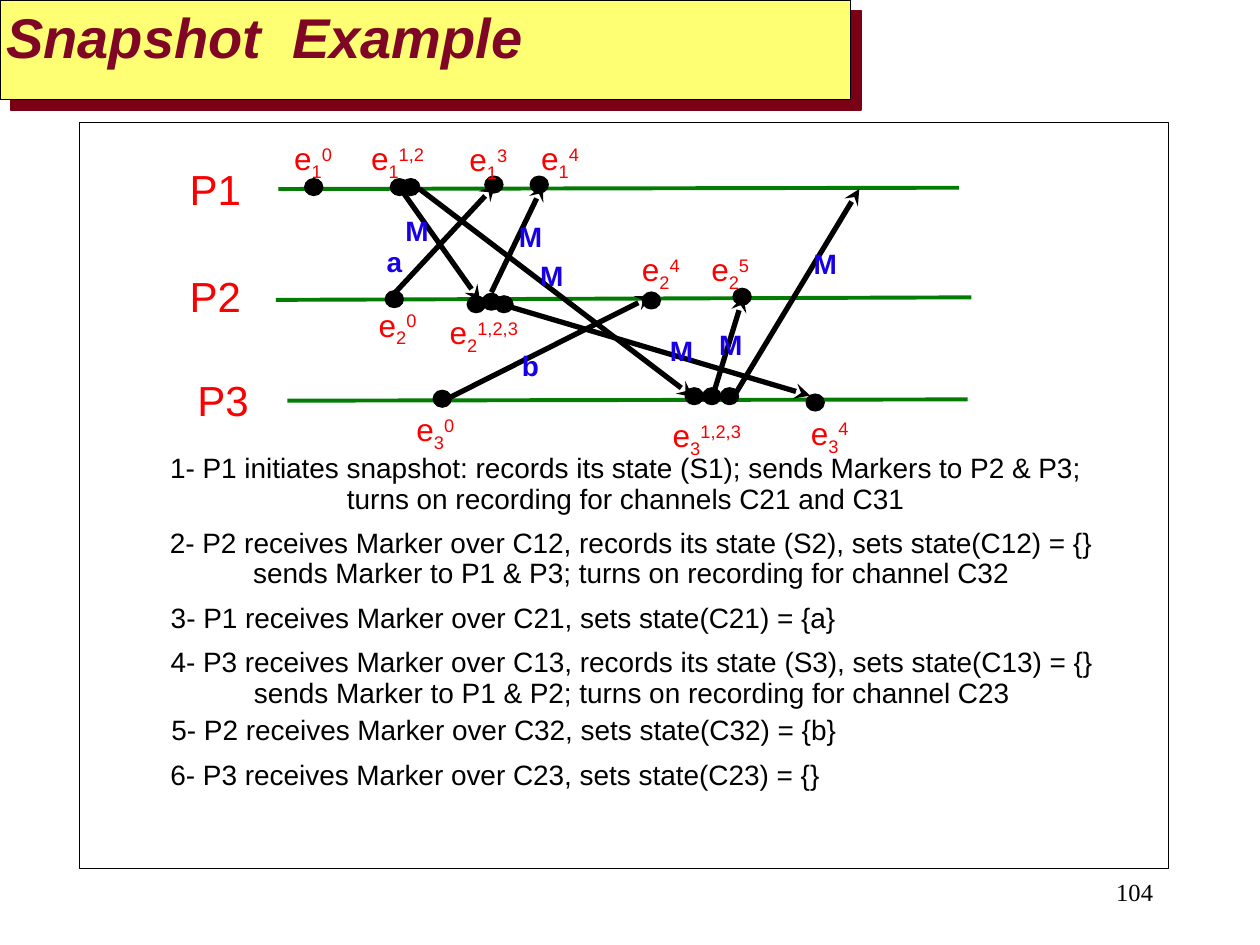
from lxml import etree
from pptx import Presentation
from pptx.dml.color import RGBColor
from pptx.enum.shapes import MSO_CONNECTOR as CONN, MSO_SHAPE as SHAPE
from pptx.enum.text import MSO_ANCHOR as ANCHOR, MSO_AUTO_SIZE as FIT, PP_ALIGN as ALIGN
from pptx.oxml import parse_xml
from pptx.oxml.ns import nsdecls, qn
from pptx.util import Inches, Pt

COLORS = {
    "black": "000000", "red": "FA0000", "blue": "1700E5", "green": "037C03",
    "yellow": "FEFF72", "maroon": "7F0624", "shadow": "790015",
}


def rgb(name):
    return RGBColor.from_string(COLORS[name])


def style(run, size, color, bold=False, font="Arial"):
    run.font.size, run.font.name, run.font.bold = Pt(size), font, bold
    run.font.color.rgb = rgb(color)


def add_text(slide, box, parts, size, color, bold=False):
    """Centred text; parts are (text, baseline in thousandths of a percent)."""
    frame = slide.shapes.add_textbox(*map(Inches, box)).text_frame
    frame.word_wrap = True
    frame.auto_size = FIT.SHAPE_TO_FIT_TEXT
    para = frame.paragraphs[0]
    para.alignment, para.line_spacing = ALIGN.CENTER, 0.9
    for text, base in parts:
        run = para.add_run()
        run.text = text
        style(run, size, color, bold)
        if base:
            run.font._element.set("baseline", str(base))


def add_shape(slide, kind, box, fill, width):
    shape = slide.shapes.add_shape(kind, *map(Inches, box))
    shape.shadow.inherit = False
    if fill:
        shape.fill.solid()
        shape.fill.fore_color.rgb = rgb(fill)
    else:
        shape.fill.background()
    shape.line.color.rgb = rgb("black")
    shape.line.width = Pt(width)
    return shape


def add_line(slide, ends, color, width, arrow=False):
    line = slide.shapes.add_connector(CONN.STRAIGHT, *map(Inches, ends))
    line.line.color.rgb = rgb(color)
    line.line.width = Pt(width)
    if arrow:
        etree.SubElement(line.line._get_or_add_ln(), qn("a:tailEnd"), type="stealth")
    etree.SubElement(line._element.spPr, qn("a:effectLst"))


def add_title(slide, box, text):
    shape = add_shape(slide, SHAPE.RECTANGLE, box, "yellow", 1)
    # Hard offset shadow, down and to the right
    props = shape._element.spPr
    props.remove(props.find(qn("a:effectLst")))
    props.append(parse_xml(
        f'<a:effectLst {nsdecls("a")}><a:outerShdw dist="107950" dir="2700000" '
        f'algn="ctr" rotWithShape="0"><a:srgbClr val="{COLORS["shadow"]}"/>'
        '</a:outerShdw></a:effectLst>'))
    frame = shape.text_frame
    frame.text = text
    frame.word_wrap, frame.vertical_anchor = True, ANCHOR.TOP
    frame.margin_left = frame.margin_right = Inches(0.05)
    frame.margin_top = frame.margin_bottom = Inches(0.02)
    para = frame.paragraphs[0]
    para.alignment = ALIGN.LEFT
    style(para.runs[0], 32, "maroon", True)
    para.runs[0].font.italic = True


def add_diagram(slide, left, top):
    def place(x, y, *size):
        return (left + x, top + y, *size)

    def span(x1, y1, x2, y2):
        return place(x1, y1) + place(x2, y2)

    # Process timelines with their names
    for name, x, y, ends in [
        ("P1", 0.08, 0.29, (1.21, 0.5, 6.61, 0.49)),
        ("P2", 0.08, 1.14, (1.19, 1.38, 6.71, 1.36)),
        ("P3", 0.14, 1.97, (1.28, 2.18, 6.68, 2.17)),
    ]:
        add_line(slide, span(*ends), "green", 2.25)
        add_text(slide, place(x, y, 1.26, 0.46), [(name, 0)], 24, "red")

    # Messages and markers
    for ends in [
        (2.11, 1.35, 2.93, 0.47), (2.5, 2.19, 4.17, 1.35),
        (2.18, 0.5, 2.81, 1.39), (2.33, 0.5, 4.5, 2.15),
        (2.9, 1.32, 3.31, 0.47), (3.03, 1.43, 5.43, 2.14),
        (4.67, 2.1, 4.9, 1.35), (4.81, 2.17, 5.82, 0.5),
    ]:
        add_line(slide, span(*ends), "black", 3, arrow=True)

    # Event dots, one row per process
    for x, y in [
        (1.42, 0.42), (2.1, 0.42), (2.19, 0.42), (2.85, 0.4), (3.21, 0.4),
        (2.06, 1.31), (2.71, 1.35), (2.83, 1.33), (2.93, 1.35), (4.1, 1.32), (4.82, 1.29),
        (2.44, 2.1), (4.44, 2.08), (4.58, 2.08), (4.72, 2.08), (5.4, 2.13),
    ]:
        add_shape(slide, SHAPE.OVAL, place(x, y, 0.14, 0.13), "black", 1)

    # Event labels: process as subscript, event numbers as superscript
    for x, y, width, sub, sup in [
        (1.18, 0.06, 0.61, "1", "0"), (1.81, 0.06, 0.69, "1", "1,2"),
        (2.57, 0.07, 0.61, "1", "3"), (3.14, 0.06, 0.61, "1", "4"),
        (1.85, 1.38, 0.61, "2", "0"), (2.43, 1.44, 0.82, "2", "1,2,3"),
        (3.94, 0.94, 0.61, "2", "4"), (4.49, 0.94, 0.61, "2", "5"),
        (2.15, 2.21, 0.61, "3", "0"), (4.17, 2.26, 0.88, "3", "1,2,3"),
        (5.28, 2.24, 0.61, "3", "4"),
    ]:
        parts = [("e", 0), (sub, -25000), (sup, 30000)]
        add_text(slide, place(x, y, width, 0.41), parts, 18, "red")

    # Message labels
    for text, x, y in [
        ("a", 1.93, 0.92), ("b", 3.01, 1.75), ("M", 3.18, 1.03), ("M", 2.11, 0.68),
        ("M", 3.01, 0.72), ("M", 4.21, 1.63), ("M", 5.35, 0.94), ("M", 4.6, 1.58),
    ]:
        add_text(slide, place(x, y, 0.4, 0.34), [(text, 0)], 16, "blue", True)


def add_steps(slide, left, top):
    for x, y, width, height, text in [
        (0.08, 0, 7.49, 0.58, "1- P1 initiates snapshot: records its state (S1); sends Markers "
         "to P2 & P3; turns on recording for channels C21 and C31"),
        (0, 0.59, 7.74, 0.58, "2- P2 receives Marker over C12, records its state (S2), sets "
         "state(C12) = {} sends Marker to P1 & P3; turns on recording for channel C32"),
        (-2.03, 1.19, 9.77, 0.34, "3- P1 receives Marker over C21, sets state(C21) = {a}"),
        (0, 1.54, 7.75, 0.58, "4- P3 receives Marker over C13, records its state (S3), sets "
         "state(C13) = {} sends Marker to P1 & P2; turns on recording for channel C23"),
        (-2.03, 2.08, 9.78, 0.34, "5- P2 receives Marker over C32, sets state(C32) = {b}"),
        (-2.17, 2.43, 9.92, 0.34, "6- P3 receives Marker over C23, sets state(C23) = {}"),
    ]:
        add_text(slide, (left + x, top + y, width, height), [(text, 0)], 16, "black")


def add_number(slide, box, text):
    frame = slide.shapes.add_textbox(*map(Inches, box)).text_frame
    frame.text = text
    frame.word_wrap, frame.vertical_anchor = False, ANCHOR.MIDDLE
    para = frame.paragraphs[0]
    para.alignment = ALIGN.RIGHT
    style(para.runs[0], 14, "black", font="Times New Roman")


def main():
    deck = Presentation()
    deck.slide_width, deck.slide_height = Inches(10), Inches(7.5)
    slide = deck.slides.add_slide(deck.slide_layouts[6])
    add_title(slide, (0, 0, 6.75, 0.79), "Snapshot  Example")
    add_shape(slide, SHAPE.RECTANGLE, (0.63, 0.97, 8.64, 5.92), None, 0.25)
    add_diagram(slide, 1, 1)
    add_steps(slide, 1.14, 3.56)
    add_number(slide, (7.17, 6.83, 2.08, 0.5), "104")
    deck.save("out.pptx")


if __name__ == "__main__":
    main()
